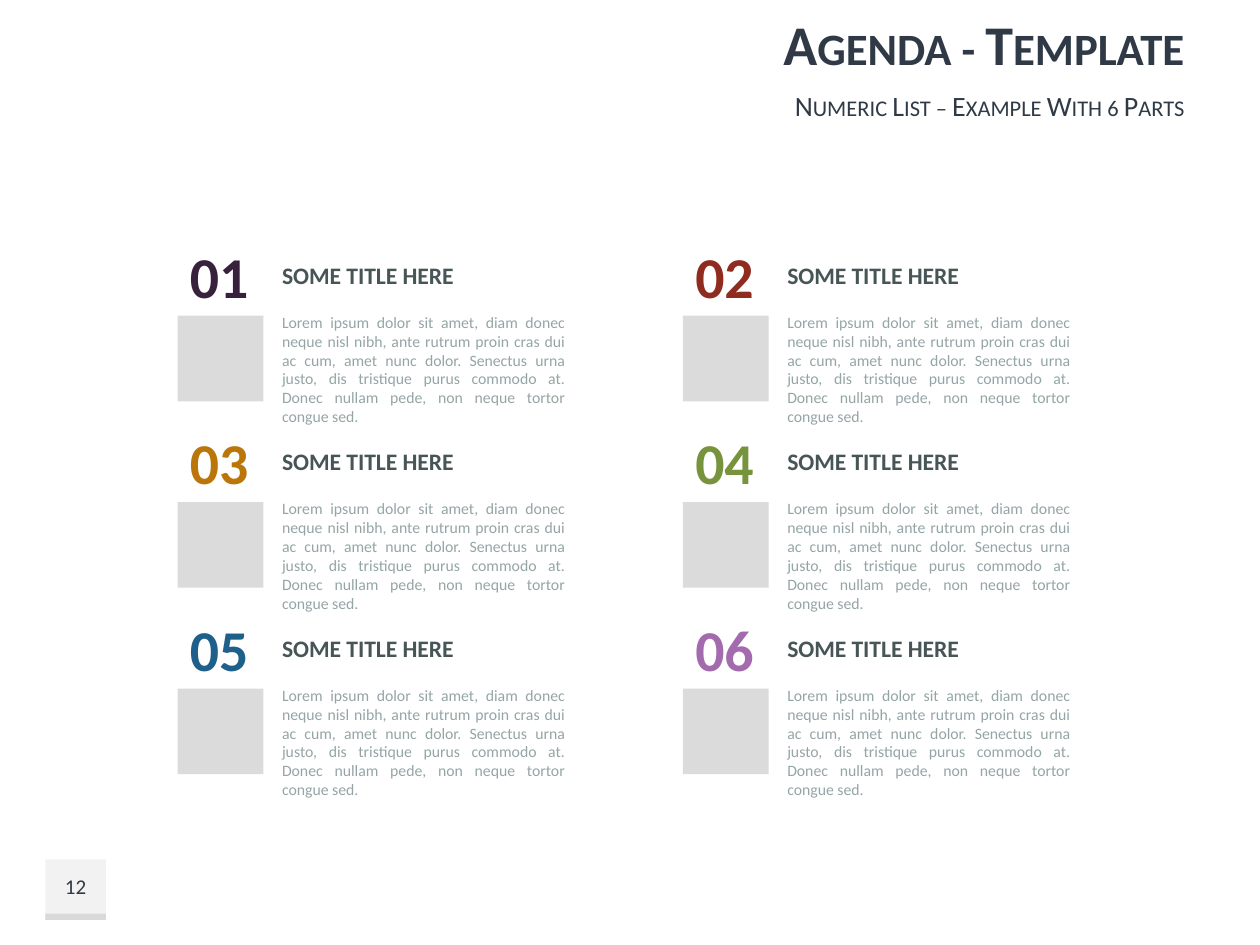
"""Build a six-part numbered agenda slide."""
from dataclasses import dataclass

import pptx
import pptx.dml.color
import pptx.enum.shapes
import pptx.enum.text
import pptx.util

ALIGN = pptx.enum.text.PP_ALIGN
ANCHOR = pptx.enum.text.MSO_ANCHOR
AUTO_SIZE = pptx.enum.text.MSO_AUTO_SIZE

SLIDE_WIDTH, SLIDE_HEIGHT = pptx.util.Inches(10), pptx.util.Inches(7.5)
GRID_COLUMNS, GRID_ROWS = 100, 75
ITEMS_PER_ROW = 2
FIRST_COLUMN, FIRST_ROW = 14.1, 18.6
COLUMN_STEP, ROW_STEP = 40.1, 14.8

COLORS = {
    "heading": "2F3A46",
    "item_title": "485556",
    "item_body": "95A5A6",
    "icon": "DBDBDB",
    "page_tile": "F2F2F2",
    "page_bar": "D9D9D9",
    "01": "38213C",
    "02": "902B20",
    "03": "BA7609",
    "04": "77933C",
    "05": "1F608B",
    "06": "A36AAD",
}
ITEM_TITLE = "SOME TITLE HERE"
ITEM_BODY = (
    "Lorem ipsum dolor sit amet, diam donec neque nisl nibh, ante rutrum proin "
    "cras dui ac cum, amet nunc dolor. Senectus urna justo, dis tristique purus "
    "commodo at. Donec nullam pede, non neque tortor congue sed."
)


@dataclass(frozen=True)
class Area:
    """A rectangle in grid columns and rows."""

    column: float
    row: float
    columns: float
    rows: float

    def moved(self, columns: float, rows: float) -> "Area":
        """Return the area shifted over the grid."""
        return Area(self.column + columns, self.row + rows, self.columns, self.rows)

    def lengths(self) -> tuple[int, int, int, int]:
        """Return left, top, width and height."""
        across, down = SLIDE_WIDTH / GRID_COLUMNS, SLIDE_HEIGHT / GRID_ROWS
        return (round(self.column * across), round(self.row * down),
                round(self.columns * across), round(self.rows * down))


@dataclass(frozen=True)
class Style:
    """The look of one piece of text."""

    size: float
    color: str
    bold: bool = False
    align: ALIGN = ALIGN.LEFT
    anchor: ANCHOR = ANCHOR.TOP
    wrap: bool = True
    grow: bool = False
    small_caps: bool = False


NUMBER_AREA = Area(0, 0, 6.7, 6.6)
TITLE_AREA = Area(7.3, 1.6, 15.8, 3.3)
BODY_AREA = Area(7.3, 5.7, 24.4, 10.1)
ICON_AREA = Area(0, 6.45, 6.8, 6.8)


def write(frame, text: str, style: Style) -> None:
    """Fill a text frame with one styled paragraph."""
    frame.text = text
    frame.word_wrap = style.wrap
    frame.auto_size = AUTO_SIZE.SHAPE_TO_FIT_TEXT if style.grow else AUTO_SIZE.NONE
    frame.vertical_anchor = style.anchor
    paragraph = frame.paragraphs[0]
    paragraph.alignment = style.align
    paragraph.space_before = pptx.util.Pt(0)
    font = paragraph.font
    font.name = "Calibri"
    font.size = pptx.util.Pt(style.size)
    font.bold = style.bold
    font.color.rgb = pptx.dml.color.RGBColor.from_string(COLORS[style.color])
    if style.small_caps:
        font._element.set("cap", "small")


def add_text(shapes, area: Area, text: str, style: Style) -> None:
    """Add a text box."""
    write(shapes.add_textbox(*area.lengths()).text_frame, text, style)


def add_block(shapes, area: Area, color: str) -> None:
    """Add a plain filled rectangle."""
    block = shapes.add_shape(pptx.enum.shapes.MSO_SHAPE.RECTANGLE, *area.lengths())
    block.shadow.inherit = False
    block.fill.solid()
    block.fill.fore_color.rgb = pptx.dml.color.RGBColor.from_string(COLORS[color])
    block.line.fill.background()


def fill_placeholder(placeholder, area: Area, text: str, style: Style) -> None:
    """Move a placeholder and fill it."""
    placeholder.left, placeholder.top, placeholder.width, placeholder.height = area.lengths()
    write(placeholder.text_frame, text, style)


def add_item(slide, index: int) -> None:
    """Add one numbered agenda part at its place in the grid."""
    row, column = divmod(index, ITEMS_PER_ROW)
    offset = (FIRST_COLUMN + column * COLUMN_STEP, FIRST_ROW + row * ROW_STEP)
    number = f"{index + 1:02}"
    item = slide.shapes.add_group_shape().shapes
    add_text(item, NUMBER_AREA.moved(*offset), number,
             Style(33, number, bold=True, wrap=False, grow=True))
    add_text(item, TITLE_AREA.moved(*offset), ITEM_TITLE,
             Style(13.5, "item_title", bold=True, wrap=False, grow=True))
    add_text(item, BODY_AREA.moved(*offset), ITEM_BODY,
             Style(9, "item_body", align=ALIGN.JUSTIFY, grow=True))
    add_block(item, ICON_AREA.moved(*offset), "icon")


def main() -> None:
    """Build and save the slide."""
    deck = pptx.Presentation()
    deck.slide_width, deck.slide_height = SLIDE_WIDTH, SLIDE_HEIGHT
    slide = deck.slides.add_slide(deck.slide_layouts[0])
    title, subtitle = slide.placeholders
    fill_placeholder(title, Area(31.9, 0, 63.1, 6.8), "Agenda - Template",
                     Style(32, "heading", bold=True, align=ALIGN.RIGHT,
                           anchor=ANCHOR.MIDDLE, small_caps=True))
    fill_placeholder(subtitle, Area(31.9, 6.8, 63.1, 3.1),
                     "Numeric List – Example With 6 Parts",
                     Style(16, "heading", align=ALIGN.RIGHT,
                           anchor=ANCHOR.MIDDLE, small_caps=True))
    page = slide.shapes.add_group_shape().shapes
    add_block(page, Area(3.6, 68.2, 4.8, 4.8), "page_tile")
    add_block(page, Area(3.6, 72.5, 4.8, 0.5), "page_bar")
    add_text(slide.shapes, Area(3.6, 68.2, 4.8, 4.3), "12",
             Style(12, "heading", align=ALIGN.CENTER, anchor=ANCHOR.MIDDLE))
    for index in range(6):
        add_item(slide, index)
    deck.save("out.pptx")


if __name__ == "__main__":
    main()
